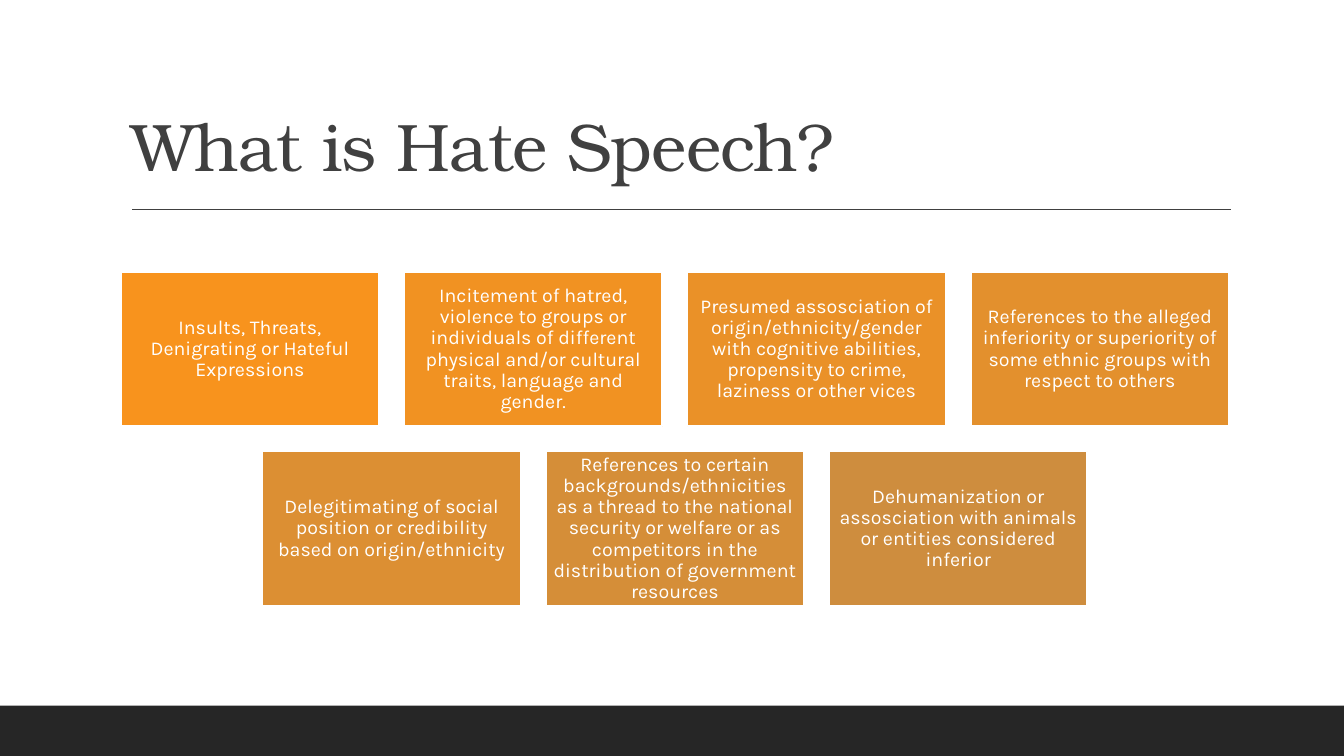
"""Build the slide that lists the forms of hate speech."""
from lxml import etree
from pptx import Presentation
from pptx.dml.color import RGBColor
from pptx.enum.shapes import MSO_CONNECTOR, MSO_SHAPE
from pptx.enum.text import MSO_ANCHOR, MSO_AUTO_SIZE, PP_ALIGN
from pptx.oxml.ns import qn
from pptx.util import Inches, Pt

RECTANGLE = MSO_SHAPE.RECTANGLE
STRAIGHT = MSO_CONNECTOR.STRAIGHT
MIDDLE, BOTTOM = MSO_ANCHOR.MIDDLE, MSO_ANCHOR.BOTTOM
LEFT, CENTER = PP_ALIGN.LEFT, PP_ALIGN.CENTER
NO_AUTOFIT = MSO_AUTO_SIZE.NONE

WHITE = RGBColor(0xFF, 0xFF, 0xFF)
CHARCOAL = RGBColor(0x40, 0x40, 0x40)
FOOTER_BLACK = RGBColor(0x26, 0x26, 0x26)

SLIDE_WIDTH, SLIDE_HEIGHT = 13.33, 7.5
CARD_WIDTH, CARD_HEIGHT = 2.56, 1.53
CARD_GAP = 0.25
CARDS_LEFT, CARDS_TOP = 1.2, 2.7
CARDS_PER_ROW = 4

CARDS = [
    ("Insults, Threats, Denigrating or Hateful Expressions",
     RGBColor(0xF8, 0x93, 0x1D)),
    ("Incitement of hatred, violence to groups or individuals of different "
     "physical and/or cultural traits, language and gender.",
     RGBColor(0xF1, 0x92, 0x22)),
    ("Presumed assosciation of origin/ethnicity/gender with cognitive "
     "abilities, propensity to crime, laziness or other vices",
     RGBColor(0xEA, 0x91, 0x28)),
    ("References to the alleged inferiority or superiority of some ethnic "
     "groups with respect to others",
     RGBColor(0xE3, 0x90, 0x2D)),
    ("Delegitimating of social position or credibility based on "
     "origin/ethnicity",
     RGBColor(0xDC, 0x8F, 0x33)),
    ("References to certain backgrounds/ethnicities as a thread to the "
     "national security or welfare or as competitors in the distribution of "
     "government resources",
     RGBColor(0xD5, 0x8E, 0x38)),
    ("Dehumanization or assosciation with animals or entities considered "
     "inferior",
     RGBColor(0xCE, 0x8D, 0x3E)),
]


def write_text(frame, text, *, font, size, color, align, anchor, inset=None,
               spacing=None):
    frame.word_wrap = True
    frame.auto_size = NO_AUTOFIT
    frame.vertical_anchor = anchor
    if inset is not None:
        frame.margin_left = frame.margin_right = Inches(inset)
        frame.margin_top = frame.margin_bottom = Inches(inset)
    para = frame.paragraphs[0]
    para.alignment = align
    para.line_spacing = 0.9
    span = para.add_run()
    span.text = text
    span.font.name = font
    span.font.size = Pt(size)
    span.font.color.rgb = color
    if spacing is not None:
        span._r.get_or_add_rPr().set("spc", str(round(spacing * 100)))


class SlideBuilder:
    """Hold the fonts and the current slide, and add its elements."""

    title_font = "TeX Gyre Bonum"
    body_font = "Karla"

    def __init__(self, page):
        self.page = page

    def title(self, text, left, top, width, height):
        box = self.page.shapes.title
        box.left, box.top = Inches(left), Inches(top)
        box.width, box.height = Inches(width), Inches(height)
        write_text(box.text_frame, text, font=self.title_font, size=48,
                   color=CHARCOAL, align=LEFT, anchor=BOTTOM, spacing=-0.5)

    def rule(self, left, right, top):
        line = self.page.shapes.add_connector(
            STRAIGHT, Inches(left), Inches(top), Inches(right), Inches(top))
        line.line.color.rgb = CHARCOAL
        line.line.width = Pt(1)
        etree.SubElement(line._element.spPr, qn("a:effectLst"))

    def rectangle(self, left, top, width, height, fill, outline=None):
        box = self.page.shapes.add_shape(
            RECTANGLE, Inches(left), Inches(top), Inches(width), Inches(height))
        box.shadow.inherit = False
        box.fill.solid()
        box.fill.fore_color.rgb = fill
        if outline is None:
            box.line.fill.background()
        else:
            box.line.color.rgb = outline
            box.line.width = Pt(1.25)
        return box

    def card(self, text, left, top, fill):
        box = self.rectangle(left, top, CARD_WIDTH, CARD_HEIGHT, fill, WHITE)
        write_text(box.text_frame, text, font=self.body_font, size=14,
                   color=WHITE, align=CENTER, anchor=MIDDLE, inset=0.06)

    def card_grid(self, cards):
        step_x, step_y = CARD_WIDTH + CARD_GAP, CARD_HEIGHT + CARD_GAP
        for start in range(0, len(cards), CARDS_PER_ROW):
            row = cards[start:start + CARDS_PER_ROW]
            left = CARDS_LEFT + (CARDS_PER_ROW - len(row)) * step_x / 2
            top = CARDS_TOP + start // CARDS_PER_ROW * step_y
            for column, (text, fill) in enumerate(row):
                self.card(text, left + column * step_x, top, fill)


def main():
    deck = Presentation()
    deck.slide_width = Inches(SLIDE_WIDTH)
    deck.slide_height = Inches(SLIDE_HEIGHT)
    page = deck.slides.add_slide(deck.slide_layouts.get_by_name("Title Only"))
    builder = SlideBuilder(page)
    builder.title("What is Hate Speech?", 1.2, 0.31, 11, 1.59)
    builder.rule(1.31, 12.21, 2.08)
    builder.rectangle(0, 7, SLIDE_WIDTH, 0.5, FOOTER_BLACK)
    builder.card_grid(CARDS)
    deck.save("out.pptx")


if __name__ == "__main__":
    main()
